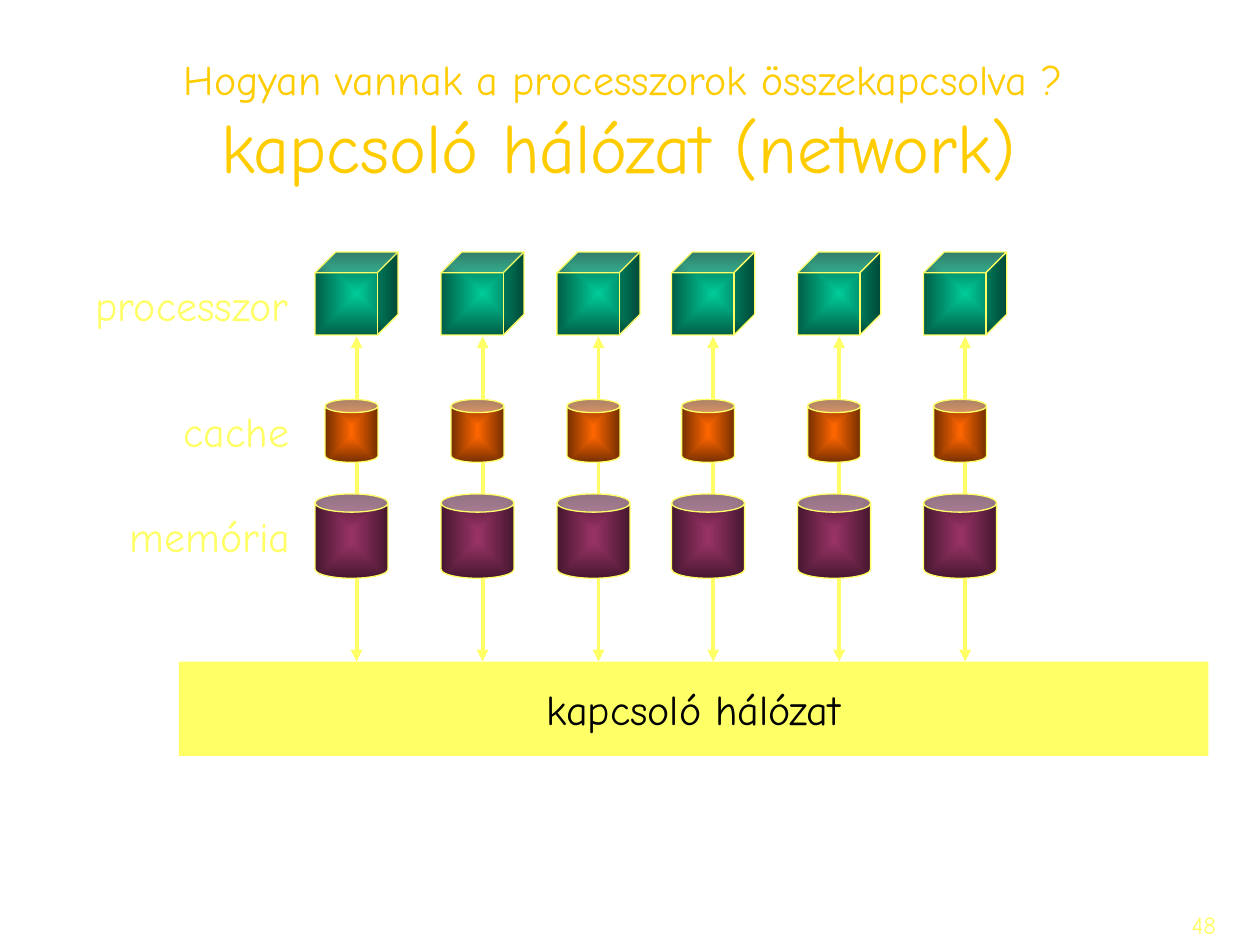
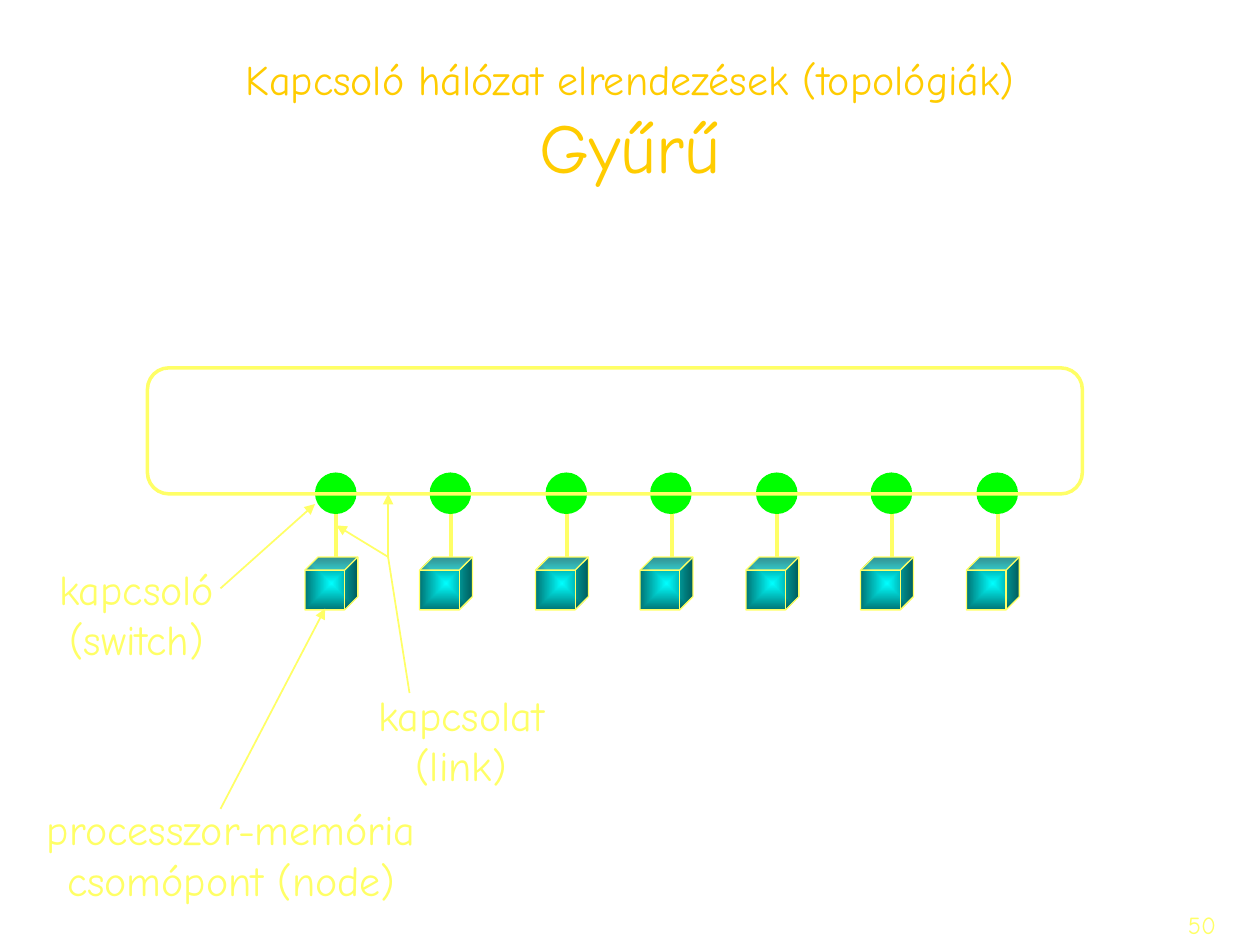
from typing import NamedTuple

from lxml import etree
from pptx import Presentation
from pptx import util as u
from pptx.dml.color import RGBColor
from pptx.enum import shapes, text
from pptx.oxml.ns import qn

FONT = "Comic Neue"
GOLD, YELLOW, GREEN, BLACK = "FFCC00", "FFFF66", "00FF00", "000000"
LEFT, CENTER, RIGHT = text.PP_ALIGN.LEFT, text.PP_ALIGN.CENTER, text.PP_ALIGN.RIGHT
TOP, MIDDLE = text.MSO_ANCHOR.TOP, text.MSO_ANCHOR.MIDDLE
KIND = shapes.MSO_SHAPE


class Solid(NamedTuple):
    """A shaded body, placed at dx from the left edge of its column."""
    kind: int
    dx: float
    top: float
    width: float
    height: float
    inner: str
    outer: str


class Label(NamedTuple):
    words: str
    left: float
    top: float
    width: float
    height: float
    align: int


class Link(NamedTuple):
    x1: float
    y1: float
    x2: float
    y2: float
    weight: float = 1
    head: bool = False
    tail: bool = False


# Slide 1: one column is processor, cache and memory on a two-way arrow
PROCESSOR = Solid(KIND.CUBE, 0, 2, 0.66, 0.66, "00CC99", "005E46")
CACHE = Solid(KIND.CAN, 0.08, 3.17, 0.42, 0.5, "FF6600", "752F00")
MEMORY = Solid(KIND.CAN, 0, 3.92, 0.58, 0.67, "993366", "46172F")
COLUMNS = (2.5, 3.5, 4.42, 5.33, 6.33, 7.33)
LABEL_RIGHT = 2.44
ROW_LABELS = (("processzor", 2.17, 1.78), ("cache", 3.17, 1.08), ("memória", 4, 1.51))

# Slide 2: one node hangs from its switch on the ring
NODE = Solid(KIND.CUBE, 0, 4.42, 0.42, 0.42, "00FFFF", "007575")
NODES = (2.42, 3.33, 4.25, 5.08, 5.92, 6.83, 7.67)
RING_BOTTOM = 3.92
SWITCH_SIZE = 0.33
CALLOUTS = (
    Label("kapcsoló\n(switch)", 0.37, 4.42, 1.43, 0.9, CENTER),
    Label("kapcsolat\n(link)", 2.9, 5.42, 1.52, 0.9, CENTER),
    Label("processzor-memória\ncsomópont (node)", 0.26, 6.33, 3.15, 0.9, CENTER),
)
POINTERS = (
    Link(1.75, 4.67, 2.5, 4, tail=True),
    Link(3.08, 4.42, 2.67, 4.17, tail=True),
    Link(1.75, 6.42, 2.58, 4.83, tail=True),
    Link(3.08, 4.42, 3.25, 5.5),
    Link(3.08, 4.42, 3.08, RING_BOTTOM, tail=True),
)


def rgb(value: str) -> RGBColor:
    return RGBColor.from_string(value)


def box(left: float, top: float, width: float, height: float) -> list:
    return [u.Inches(v) for v in (left, top, width, height)]


def style_run(r, size: float, color: str) -> None:
    r.font.name = FONT
    r.font.size = u.Pt(size)
    r.font.color.rgb = rgb(color)


def add_text(s, words: str, place: list, align: int, sizes: tuple, color: str,
             anchor: int = TOP) -> None:
    """Write one paragraph whose lines take the given sizes in turn."""
    tf = s.shapes.add_textbox(*place).text_frame
    tf.word_wrap = True
    tf.vertical_anchor = anchor
    p = tf.paragraphs[0]
    p.text = words
    p.alignment = align
    for r, size in zip(p.runs, sizes):
        style_run(r, size, color)


def add_label(s, label: Label) -> None:
    tf = s.shapes.add_textbox(*box(*label[1:5])).text_frame
    tf.text = label.words
    tf.word_wrap = False
    tf.auto_size = text.MSO_AUTO_SIZE.SHAPE_TO_FIT_TEXT
    for p in tf.paragraphs:
        p.alignment = label.align
        style_run(p.runs[0], 24, YELLOW)


def add_shape(s, kind: int, place: list, fill: str = "", line: str = "",
              weight: float = 0.75):
    sp = s.shapes.add_shape(kind, *place)
    sp.shadow.inherit = False
    if fill:
        sp.fill.solid()
        sp.fill.fore_color.rgb = rgb(fill)
    else:
        sp.fill.background()
    if line:
        sp.line.color.rgb = rgb(line)
        sp.line.width = u.Pt(weight)
    else:
        sp.line.fill.background()
    return sp


def add_solid(s, x: float, solid: Solid) -> None:
    """Draw a body shaded from its centre outwards."""
    place = box(x + solid.dx, solid.top, solid.width, solid.height)
    sp = add_shape(s, solid.kind, place, line=YELLOW)
    sp.adjustments[0] = 0.25
    sp.fill.gradient()
    for stop, color in zip(sp.fill.gradient_stops, (solid.inner, solid.outer)):
        stop.color.rgb = rgb(color)
    grad = sp._element.spPr.find(qn("a:gradFill"))
    grad.remove(grad.find(qn("a:lin")))
    shade = etree.SubElement(grad, qn("a:path"), {"path": "rect"})
    etree.SubElement(shade, qn("a:fillToRect"), dict.fromkeys("ltrb", "50000"))


def add_link(s, link: Link) -> None:
    ends = box(link.x1, link.y1, link.x2, link.y2)
    cx = s.shapes.add_connector(shapes.MSO_CONNECTOR.STRAIGHT, *ends)
    cx.line.color.rgb = rgb(YELLOW)
    cx.line.width = u.Pt(link.weight)
    ln = cx.line._get_or_add_ln()
    for tag, wanted in (("a:headEnd", link.head), ("a:tailEnd", link.tail)):
        if wanted:
            etree.SubElement(ln, qn(tag), {"type": "triangle"})
    etree.SubElement(cx._element.spPr, qn("a:effectLst"))


def new_slide(prs, title: str, number: str):
    """Add a slide with the shared title and page number."""
    s = prs.slides.add_slide(prs.slide_layouts[6])
    add_text(s, title, box(0, 0.33, 10, 1.25), CENTER, (24, 40), GOLD, MIDDLE)
    add_text(s, number, box(7.67, 7.17, 2.08, 0.33), RIGHT, (14,), YELLOW)
    return s


def network_slide(prs) -> None:
    s = new_slide(prs, "Hogyan vannak a processzorok összekapcsolva ? \n"
                       "kapcsoló hálózat (network) ", "48")
    # Network bar
    bar = add_shape(s, KIND.RECTANGLE, box(1.42, 5.25, 8.17, 0.75), fill=YELLOW)
    tf = bar.text_frame
    tf.text = "kapcsoló hálózat"
    tf.word_wrap = False
    tf.paragraphs[0].alignment = CENTER
    style_run(tf.paragraphs[0].runs[0], 24, BLACK)
    # Row labels share a right edge
    for words, top, width in ROW_LABELS:
        add_label(s, Label(words, LABEL_RIGHT - width, top, width, 0.5, LEFT))
    # Columns
    for x in COLUMNS:
        add_solid(s, x, PROCESSOR)
        add_link(s, Link(x + 0.33, 2.67, x + 0.33, 5.25, 2.25, True, True))
        add_solid(s, x, CACHE)
        add_solid(s, x, MEMORY)


def ring_slide(prs) -> None:
    s = new_slide(prs, "Kapcsoló hálózat elrendezések (topológiák)\nGyűrű", "50")
    # Nodes and switches
    for x in NODES:
        add_solid(s, x, NODE)
        add_link(s, Link(x + 0.25, RING_BOTTOM, x + 0.25, NODE.top, 2.25))
        add_shape(s, KIND.OVAL, box(x + 0.08, 3.75, SWITCH_SIZE, SWITCH_SIZE), fill=GREEN)
    # Ring
    ring = add_shape(s, KIND.ROUNDED_RECTANGLE, box(1.17, RING_BOTTOM - 1, 7.42, 1),
                     line=YELLOW, weight=2)
    ring.adjustments[0] = 0.17
    # Callouts
    for label in CALLOUTS:
        add_label(s, label)
    for pointer in POINTERS:
        add_link(s, pointer)


def main() -> None:
    prs = Presentation()
    prs.slide_width, prs.slide_height = u.Inches(10), u.Inches(7.5)
    network_slide(prs)
    ring_slide(prs)
    prs.save("out.pptx")


if __name__ == "__main__":
    main()
